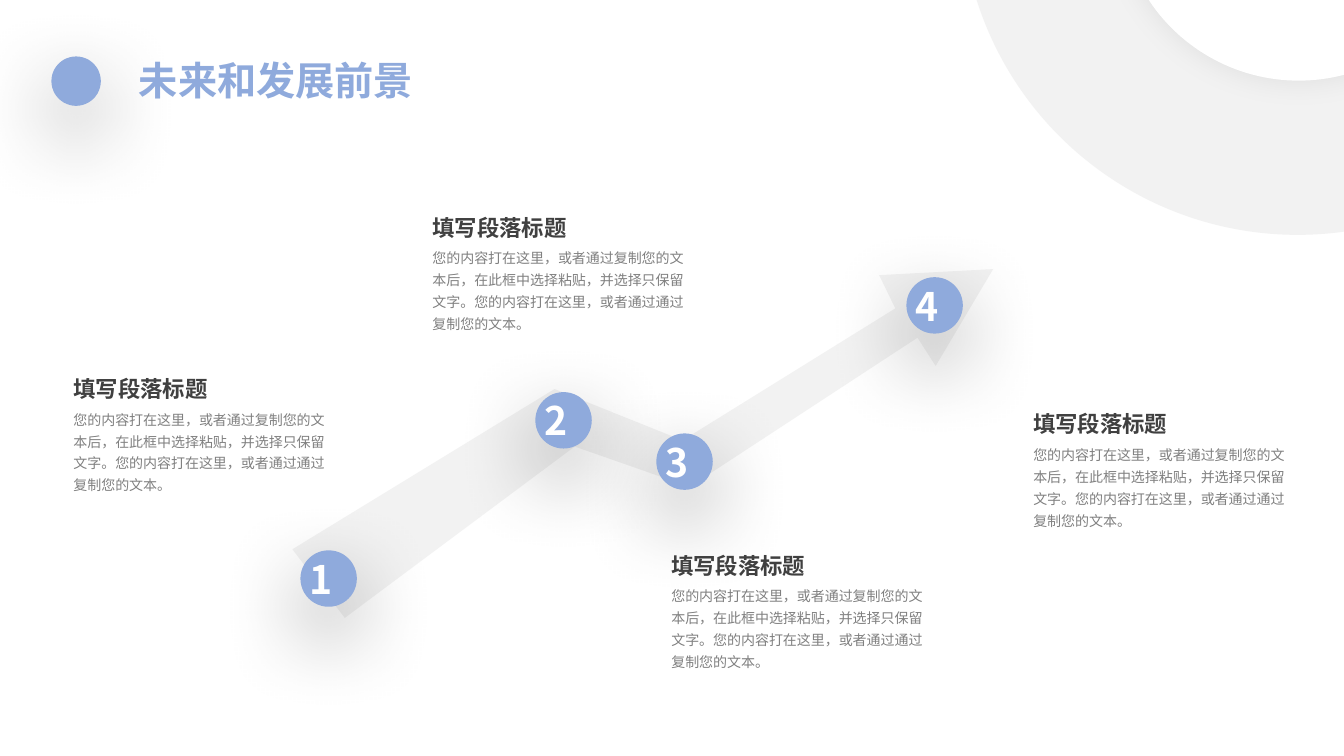
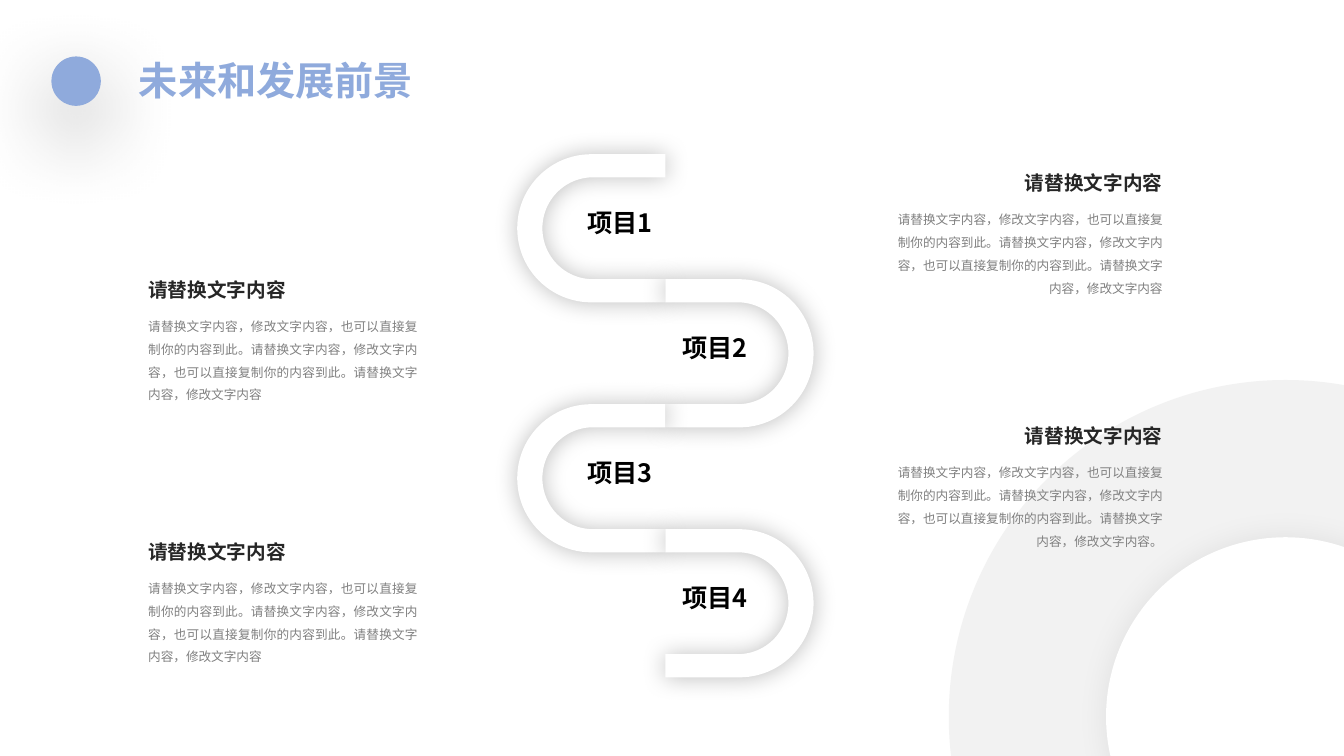
from dataclasses import dataclass

from lxml import etree
from pptx import Presentation
from pptx import util as u
from pptx.dml.color import RGBColor
from pptx.enum import shapes, text
from pptx.oxml.ns import qn

# Shared look
FONT = "Noto Sans CJK SC"
BLUE, WHITE, BLACK = "8FAADC", "FFFFFF", "000000"
PALE, GREY, DARK, INK = "F2F2F2", "808080", "404040", "262626"
LEFT, CENTER, RIGHT, JUSTIFY = (
    text.PP_ALIGN.LEFT, text.PP_ALIGN.CENTER, text.PP_ALIGN.RIGHT, text.PP_ALIGN.JUSTIFY)


@dataclass(frozen=True)
class Shadow:
    alpha: int
    blur: float
    distance: float = 0
    angle: int = 0


@dataclass(frozen=True)
class Style:
    size: float
    color: str
    bold: bool = False
    spacing: float = 1.0


@dataclass(frozen=True)
class Callout:
    left: float
    top: float


@dataclass(frozen=True)
class Note:
    top: float
    on_right: bool
    ending: str = ""


DROP = Shadow(40, 60, 20, 90)
HOLE_GLOW = Shadow(7, 22)
BAND_GLOW = Shadow(25, 17)

TITLE = Style(28, BLUE, True)
NUMBER = Style(28, WHITE, True)
CALLOUT_HEAD = Style(16, DARK, True, 1.5)
CALLOUT_BODY = Style(10, GREY, spacing=1.3)
ITEM_LABEL = Style(18, BLACK, True)
NOTE_HEAD = Style(14, INK, True)
NOTE_BODY = Style(9, GREY, spacing=1.5)
PLAIN_INSETS = (0, 0, 0, 0)
BOX_INSETS = (0.1, 0.05, 0.1, 0.05)

# Content
DECK_TITLE = "未来和发展前景"
CALLOUT_TITLE = "填写段落标题"
CALLOUT_TEXT = ("您的内容打在这里，或者通过复制您的文本后，在此框中选择粘贴，并选择只保留文字。"
                "您的内容打在这里，或者通过通过复制您的文本。")
NOTE_TITLE = "请替换文字内容"
NOTE_TEXT = ("请替换文字内容，修改文字内容，也可以直接复制你的内容到此。"
             "请替换文字内容，修改文字内容，也可以直接复制你的内容到此。"
             "请替换文字内容，修改文字内容")

ARROW = [(2.9, 5.45), (5.5, 3.86), (6.77, 4.37), (8.88, 3.06), (8.72, 2.73), (9.85, 2.67),
         (9.28, 3.63), (9.1, 3.35), (6.84, 4.83), (5.7, 4.43), (3.42, 6.13)]
BADGES = [(2.98, 5.46), (5.31, 3.89), (6.51, 4.3), (8.99, 2.75)]
CALLOUTS = [Callout(0.63, 3.59), Callout(4.19, 1.99),
            Callout(6.56, 5.34), Callout(10.15, 3.94)]
NOTES = [Note(2.76, False), Note(1.7, True), Note(5.36, False), Note(4.21, True, "。")]

# Winding band
BAND_SIZE, BAND_LEFT, BAND_TOP, BAND_PITCH = 1.47, 5.13, 1.53, 1.24
UNITS = 1000  # outline units per inch


def rgb(color: str) -> RGBColor:
    return RGBColor.from_string(color)


def paint(shape, color: str, shadow: Shadow | None = None) -> None:
    """Flat fill without line, with an optional soft shadow."""
    shape.fill.solid()
    shape.fill.fore_color.rgb = rgb(color)
    shape.line.fill.background()
    shape.shadow.inherit = False
    if shadow is None:
        return
    effects = shape._element.spPr.find(qn("a:effectLst"))
    outer = etree.SubElement(
        effects, qn("a:outerShdw"), blurRad=str(u.Pt(shadow.blur)),
        dist=str(u.Pt(shadow.distance)), dir=str(shadow.angle * 60000),
        algn="t" if shadow.distance else "ctr", rotWithShape="0")
    tint = etree.SubElement(outer, qn("a:srgbClr"), val=BLACK)
    etree.SubElement(tint, qn("a:alpha"), val=str(shadow.alpha * 1000))


def write(frame, words: str, style: Style, align=LEFT, insets=BOX_INSETS) -> None:
    """Put one styled run into a text frame."""
    (frame.margin_left, frame.margin_top,
     frame.margin_right, frame.margin_bottom) = map(u.Inches, insets)
    paragraph = frame.paragraphs[0]
    paragraph.alignment = align
    paragraph.line_spacing = style.spacing
    run = paragraph.add_run()
    run.text = words
    font = run.font
    font.size, font.bold, font.name = u.Pt(style.size), style.bold, FONT
    font.color.rgb = rgb(style.color)
    properties = run._r.get_or_add_rPr()
    properties.set("lang", "zh-CN")
    etree.SubElement(properties, qn("a:ea"), typeface=FONT)


def add_text(slide, left: float, top: float, width: float, height: float, words: str,
             style: Style, align=LEFT, insets=BOX_INSETS, wrap: bool = True) -> None:
    box = slide.shapes.add_textbox(*map(u.Inches, (left, top, width, height)))
    box.text_frame.word_wrap = wrap
    box.text_frame.auto_size = text.MSO_AUTO_SIZE.SHAPE_TO_FIT_TEXT
    write(box.text_frame, words, style, align, insets)


def add_circle(slide, left: float, top: float, size: float, color: str,
               shadow: Shadow | None = None):
    circle = slide.shapes.add_shape(
        shapes.MSO_SHAPE.OVAL, *map(u.Inches, (left, top, size, size)))
    paint(circle, color, shadow)
    return circle


def add_outline(slide, points, left: float = 0, top: float = 0):
    """Closed outline through points given in inches from left and top."""
    scaled = [(round(x * UNITS), round(y * UNITS)) for x, y in points]
    builder = slide.shapes.build_freeform(*scaled[0], scale=u.Inches(1) / UNITS)
    builder.add_line_segments(scaled[1:], close=True)
    return builder.convert_to_shape(u.Inches(left), u.Inches(top))


def add_base(presentation, ring: tuple[float, float], hole: tuple[float, float]):
    """New slide with the corner ring, the title and its dot."""
    slide = presentation.slides.add_slide(presentation.slide_layouts[6])
    add_circle(slide, *ring, 6.68, PALE)
    add_circle(slide, *hole, 3.56, WHITE, HOLE_GLOW)
    add_circle(slide, 0.51, 0.56, 0.49, BLUE, DROP)
    add_text(slide, 1.28, 0.51, 3.56, 0.57, DECK_TITLE, TITLE)
    return slide


def add_bend(slide, left: float, top: float, mirrored: bool) -> None:
    """Half ring with straight ends; quarter arcs replace four of its segments."""
    size, middle, thickness = BAND_SIZE, BAND_SIZE / 2, 0.23
    inner_x, radius_x, radius_y = 0.75, 0.5, middle - thickness
    bend = add_outline(slide, [
        (size, 0), (middle, 0), (0, middle), (middle, size), (size, size),
        (size, size - thickness), (inner_x, size - thickness),
        (inner_x - radius_x, middle), (inner_x, thickness), (size, thickness)], left, top)
    paint(bend, WHITE, BAND_GLOW)
    segments = list(bend._element.iter(qn("a:lnTo")))
    arcs = [(1, middle, middle, 270, -90), (2, middle, middle, 180, -90),
            (6, radius_x, radius_y, 90, 90), (7, radius_x, radius_y, 180, 90)]
    for index, width, height, start, sweep in arcs:
        arc = etree.Element(
            qn("a:arcTo"), wR=str(round(width * UNITS)), hR=str(round(height * UNITS)),
            stAng=str(start * 60000), swAng=str(sweep * 60000))
        segments[index].getparent().replace(segments[index], arc)
    if mirrored:
        bend._element.spPr.find(qn("a:xfrm")).set("flipH", "1")


def add_callout(slide, callout: Callout) -> None:
    add_text(slide, callout.left, callout.top, 1.55, 0.36, CALLOUT_TITLE, CALLOUT_HEAD,
             insets=(0.1, 0, 0.1, 0), wrap=False)
    add_text(slide, callout.left, callout.top + 0.39, 2.72, 0.95, CALLOUT_TEXT, CALLOUT_BODY)


def add_note(slide, note: Note) -> None:
    head_left, body_left, align = (9.12, 8.86, RIGHT) if note.on_right else (1.47, 1.47, JUSTIFY)
    add_text(slide, head_left, note.top, 2.41, 0.24, NOTE_TITLE, NOTE_HEAD, align, PLAIN_INSETS)
    add_text(slide, body_left, note.top + 0.33, 2.67, 0.88, NOTE_TEXT + note.ending,
             NOTE_BODY, align, PLAIN_INSETS)


def build_arrow_slide(presentation) -> None:
    slide = add_base(presentation, (9.53, -4.35), (11.1, -2.76))
    paint(add_outline(slide, ARROW), PALE)
    for number, (left, top) in enumerate(BADGES, start=1):
        frame = add_circle(slide, left, top, 0.56, BLUE, DROP).text_frame
        frame.vertical_anchor = text.MSO_ANCHOR.MIDDLE
        write(frame, str(number), NUMBER, RIGHT, (0.1, 0.05, 0.39, 0.05))
    for callout in CALLOUTS:
        add_callout(slide, callout)


def build_band_slide(presentation) -> None:
    slide = add_base(presentation, (9.41, 3.77), (10.97, 5.33))
    for index in range(4):
        mirrored = index % 2 == 1
        top = BAND_TOP + index * BAND_PITCH
        add_text(slide, 6.64 if mirrored else 5.7, top + 0.53, 0.9, 0.3,
                 f"项目{index + 1}", ITEM_LABEL, CENTER, PLAIN_INSETS)
        add_bend(slide, BAND_LEFT + mirrored * BAND_SIZE, top, mirrored)
    for note in NOTES:
        add_note(slide, note)


def main() -> None:
    presentation = Presentation()
    presentation.slide_width = u.Inches(13.33)
    presentation.slide_height = u.Inches(7.5)
    build_arrow_slide(presentation)
    build_band_slide(presentation)
    presentation.save("out.pptx")


if __name__ == "__main__":
    main()
